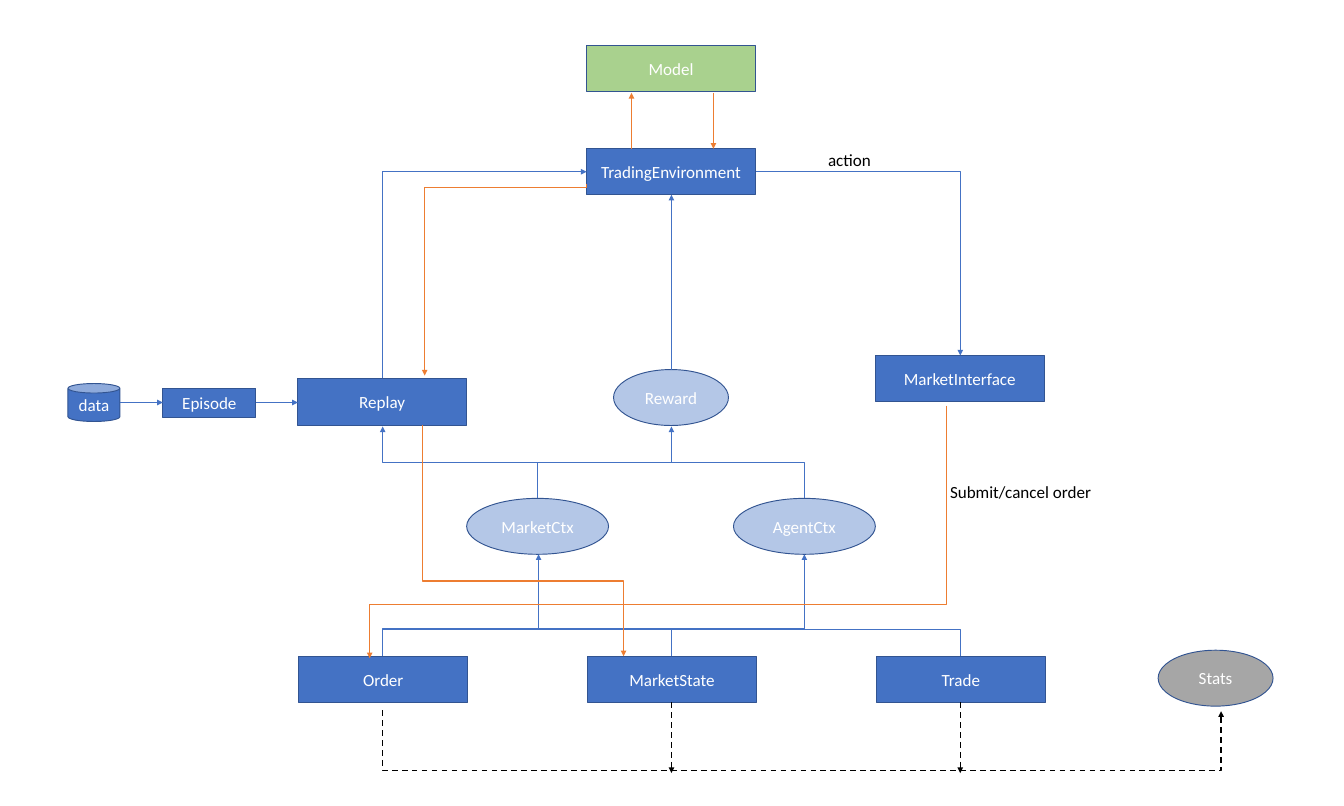
from lxml.etree import SubElement
from pptx import Presentation
from pptx.dml.color import RGBColor
from pptx.enum.dml import MSO_LINE
from pptx.enum.shapes import MSO_CONNECTOR, MSO_SHAPE
from pptx.enum.text import MSO_ANCHOR, PP_ALIGN
from pptx.oxml.ns import qn
from pptx.util import Pt

SCALE = 914400 / 68.3
BLUE = RGBColor(0x44, 0x72, 0xC4)
EDGE = RGBColor(0x32, 0x54, 0x91)
PALE = RGBColor(0xB4, 0xC7, 0xE7)
GREEN = RGBColor(0xA9, 0xD1, 0x8E)
GRAY = RGBColor(0xA6, 0xA6, 0xA6)
ORANGE = RGBColor(0xED, 0x7D, 0x31)
WHITE = RGBColor(0xFF, 0xFF, 0xFF)
BLACK = RGBColor(0, 0, 0)
BOX_W, BOX_H, OVAL_H, COL = 169, 46, 56, 289


def px(*values):
    """Turn pixels into EMU."""
    return [round(v * SCALE) for v in values]


def write(shape, text, color, align):
    """Fill a shape with one line of text."""
    tf = shape.text_frame
    tf.word_wrap = True
    p = tf.paragraphs[0]
    p.text, p.alignment = text, align
    p.font.name, p.font.size = "Calibri", Pt(18)
    p.font.color.rgb = color


def node(s, text, x, y, w=BOX_W, h=BOX_H, kind=MSO_SHAPE.RECTANGLE, fill=BLUE):
    """Draw a labelled node."""
    sp = s.shapes.add_shape(kind, *px(x, y, w, h))
    sp.shadow.inherit = False
    sp.fill.solid()
    sp.fill.fore_color.rgb = fill
    sp.line.color.rgb = EDGE
    sp.line.width = Pt(1)
    write(sp, text, WHITE, PP_ALIGN.CENTER)
    sp.text_frame.vertical_anchor = MSO_ANCHOR.MIDDLE


def oval(s, text, x, y, w, fill=PALE):
    """Draw an elliptical node."""
    node(s, text, x, y, w, OVAL_H, MSO_SHAPE.OVAL, fill)


def label(s, text, x, y, w):
    """Draw a plain label beside a line."""
    write(s.shapes.add_textbox(*px(x, y, w, 28)), text, BLACK, PP_ALIGN.LEFT)


def line(s, x1, y1, x2, y2, color=BLUE, width=1.5, head=True, dash=False,
         kind=MSO_CONNECTOR.STRAIGHT):
    """Draw a connector, with an arrowhead at its end if asked."""
    c = s.shapes.add_connector(kind, *px(x1, y1, x2, y2))
    c.line.color.rgb = color
    c.line.width = Pt(width)
    if dash:
        c.line.dash_style = MSO_LINE.DASH
    if head:
        SubElement(c.line._get_or_add_ln(), qn("a:tailEnd"), type="triangle")
    SubElement(c.element.spPr, qn("a:effectLst"))
    return c


def elbow(s, x1, y1, x2, y2, bend=None, across=False, **style):
    """Draw a one-corner elbow, or a two-corner one turning at height bend."""
    c = line(s, x1, y1, x2, y2, kind=MSO_CONNECTOR.ELBOW, **style)
    geom = c.element.spPr.find(qn("a:prstGeom"))
    if bend is None:
        geom.set("prst", "bentConnector2")
    else:
        ratio = round((bend - y1) / (y2 - y1) * 100000)
        SubElement(geom.find(qn("a:avLst")), qn("a:gd"), name="adj1", fmla=f"val {ratio}")
    if not across:
        w, h = abs(y2 - y1), abs(x2 - x1)
        c.left, c.top, c.width, c.height = px((x1 + x2 - w) / 2, (y1 + y2 - h) / 2, w, h)
        xfrm = c.element.spPr.get_or_add_xfrm()
        xfrm.rot, xfrm.flipH, xfrm.flipV = 90.0, y2 < y1, x2 > x1


def environment(s, x, y):
    """Place the model above the trading environment."""
    node(s, "Model", x, y, fill=GREEN)
    node(s, "TradingEnvironment", x, y + 103)
    line(s, x + 45, y + 103, x + 45, y + 47, ORANGE)
    line(s, x + 127, y + 47, x + 127, y + 103, ORANGE)


def feed(s, x, y):
    """Place the chain from data to replay."""
    mid = y + 24
    node(s, "data", x, y + 5, 52, 38, MSO_SHAPE.CAN)
    node(s, "Episode", x + 95, y + 10, 93, 29)
    node(s, "Replay", x + 230, y, h=47)
    line(s, x + 52, mid, x + 95, mid, width=0.5)
    line(s, x + 188, mid, x + 230, mid, width=0.5)


def contexts(s, x, y):
    """Place the reward and the two contexts that feed it and the replay."""
    left, mid, right, bus = x + 71, x + 205, x + 338, y + 93
    oval(s, "Reward", x + 147, y, 115)
    for text, cx in (("MarketCtx", left), ("AgentCtx", right)):
        oval(s, text, cx - 71, y + 129, 142)
    elbow(s, right, y + 129, x - 84, y + 57, bus)
    line(s, left, y + 129, left, bus, head=False)
    line(s, mid, bus, mid, y + 57)


def records(s, x, y):
    """Place the record boxes, their links to the contexts, and the stats."""
    order, state, trade = (x + 84 + COL * i for i in range(3))
    agent, market, bus, base = x + 506, x + 240, y - 27, y + 115
    for text, cx in (("Order", order), ("MarketState", state), ("Trade", trade)):
        node(s, text, cx - 84, y)
    oval(s, "Stats", x + 860, y - 6, 115, GRAY)
    elbow(s, order, y, agent, y - 102, bus)
    elbow(s, trade, y, agent, bus, head=False)
    line(s, state, y, state, bus, head=False)
    line(s, market, bus, market, y - 102)
    elbow(s, order, y + 54, x + 923, y + 55, base, color=BLACK, dash=True)
    for cx in (state, trade):
        line(s, cx, y + BOX_H, cx, base + 2, BLACK, dash=True)


def market(s, x, y):
    """Place the market interface with its action and order flows."""
    node(s, "MarketInterface", x, y)
    elbow(s, x - 119, y - 184, x + 85, y, across=True)
    elbow(s, x + 71, y + 50, x - 506, y + 303, y + 249, color=ORANGE)
    label(s, "action", x - 54, y - 210, 109)
    label(s, "Submit/cancel order", x + 68, y + 123, 156)


def replay_flows(s, x, y):
    """Link the replay with the environment, the reward and the market state."""
    elbow(s, x, y, x + 204, y - 207)
    line(s, x + 289, y - 9, x + 289, y - 184)
    elbow(s, x + 40, y + 47, x + 241, y + 278, y + 203, color=ORANGE)
    elbow(s, x + 204, y - 195, x + 42, y - 3, y - 191, color=ORANGE)


prs = Presentation()
prs.slide_width, prs.slide_height = px(1345, 807)
s = prs.slides.add_slide(prs.slide_layouts[6])
environment(s, 587, 46)
feed(s, 68, 379)
contexts(s, 467, 370)
records(s, 299, 657)
market(s, 876, 356)
replay_flows(s, 383, 379)
prs.save("out.pptx")
